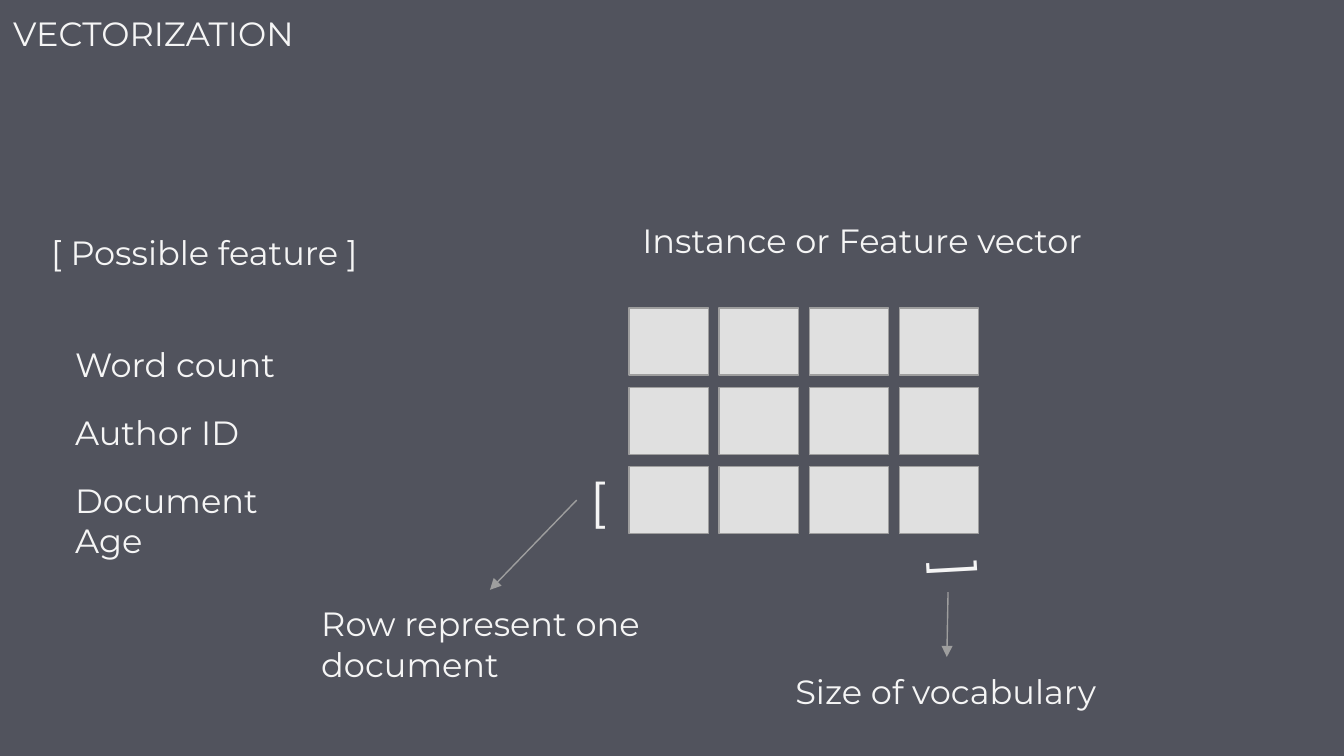
from typing import NamedTuple

from lxml import etree
from pptx import Presentation
from pptx import util as u
from pptx.dml.color import RGBColor
from pptx.enum import shapes, text
from pptx.oxml import ns

BACK = RGBColor(0x51, 0x53, 0x5D)
INK = RGBColor(0xF5, 0xF5, 0xF5)
CELL = RGBColor(0xE0, 0xE0, 0xE0)
EDGE = RGBColor(0x9E, 0x9E, 0x9E)
FONT = "Montserrat"
PAD = 7.2
TOP, LEFT = 0, 1


class Label(NamedTuple):
    words: str
    x: float
    y: float
    wide: float
    high: float = 36
    size: float = 18
    turn: float = 0


class Arrow(NamedTuple):
    start: str
    end: str
    x1: float
    y1: float
    x2: float
    y2: float


class Grid(NamedTuple):
    x: float
    y: float
    wide: float
    high: float
    step: float
    drop: float
    rows: int
    cols: int


LABELS = {
    "title": Label("VECTORIZATION", 0, 0, 236),
    "feature": Label("[ Possible feature ]", 20.3, 116.9, 236),
    "count": Label("Word count", 33.2, 176.9, 236),
    "author": Label("Author ID", 33.2, 213.3, 108),
    "age": Label("Document Age", 33.2, 249.7, 147),
    "vector": Label("Instance or Feature vector", 337, 110.7, 258),
    "row": Label("Row represent one document", 165, 316, 195, 58),
    "side": Label("[", 309, 244.2, 23.6, 47.4, 27),
    "size": Label("Size of vocabulary", 419, 352, 176.5),
    "base": Label("[", 495.5, 280.9, 22.8, 49.6, 29, 266.8),
}
ARROWS = [
    Arrow("side", "row", 309, 267.9, 262.5, 316),
    Arrow("base", "size", 507.9, 317.2, 507.25, 352),
]
CELLS = Grid(337, 165, 42.5, 36, 48.25, 42.5, 3, 4)


def set_all(item, form: dict) -> None:
    for name, value in form.items():
        setattr(item, name, value)


def add_label(slide, label: Label):
    box = slide.shapes.add_textbox(
        u.Pt(label.x), u.Pt(label.y), u.Pt(label.wide), u.Pt(label.high))
    box.rotation = label.turn
    frame = box.text_frame
    pads = {f"margin_{side}": u.Pt(PAD)
            for side in ("left", "right", "top", "bottom")}
    set_all(frame, {"word_wrap": True,
                    "auto_size": text.MSO_AUTO_SIZE.SHAPE_TO_FIT_TEXT, **pads})
    run = frame.paragraphs[0].add_run()
    run.text = label.words
    set_all(run.font, {"name": FONT, "size": u.Pt(label.size)})
    run.font.color.rgb = INK
    return box


def style_line(line) -> None:
    line.color.rgb = EDGE
    line.width = u.Pt(0.75)


def add_grid(slide, grid: Grid) -> None:
    for col in range(grid.cols):
        for row in range(grid.rows):
            cell = slide.shapes.add_shape(
                shapes.MSO_SHAPE.RECTANGLE,
                u.Pt(grid.x + col * grid.step), u.Pt(grid.y + row * grid.drop),
                u.Pt(grid.wide), u.Pt(grid.high))
            cell.shadow.inherit = False
            cell.fill.solid()
            cell.fill.fore_color.rgb = CELL
            style_line(cell.line)


def add_arrow(slide, arrow: Arrow, boxes: dict) -> None:
    ends = {"begin_x": u.Pt(arrow.x1), "begin_y": u.Pt(arrow.y1),
            "end_x": u.Pt(arrow.x2), "end_y": u.Pt(arrow.y2)}
    link = slide.shapes.add_connector(
        shapes.MSO_CONNECTOR.STRAIGHT, *ends.values())
    link.begin_connect(boxes[arrow.start], LEFT)
    link.end_connect(boxes[arrow.end], TOP)
    set_all(link, ends)
    style_line(link.line)
    tip = etree.SubElement(link.line._get_or_add_ln(), ns.qn("a:tailEnd"))
    tip.set("type", "triangle")
    etree.SubElement(link._element.spPr, ns.qn("a:effectLst"))


def main() -> None:
    deck = Presentation()
    set_all(deck, {"slide_width": u.Pt(720), "slide_height": u.Pt(405)})
    slide = deck.slides.add_slide(deck.slide_layouts[6])
    slide.background.fill.solid()
    slide.background.fill.fore_color.rgb = BACK
    add_grid(slide, CELLS)
    boxes = {name: add_label(slide, label) for name, label in LABELS.items()}
    for arrow in ARROWS:
        add_arrow(slide, arrow, boxes)
    deck.save("out.pptx")


if __name__ == "__main__":
    main()
